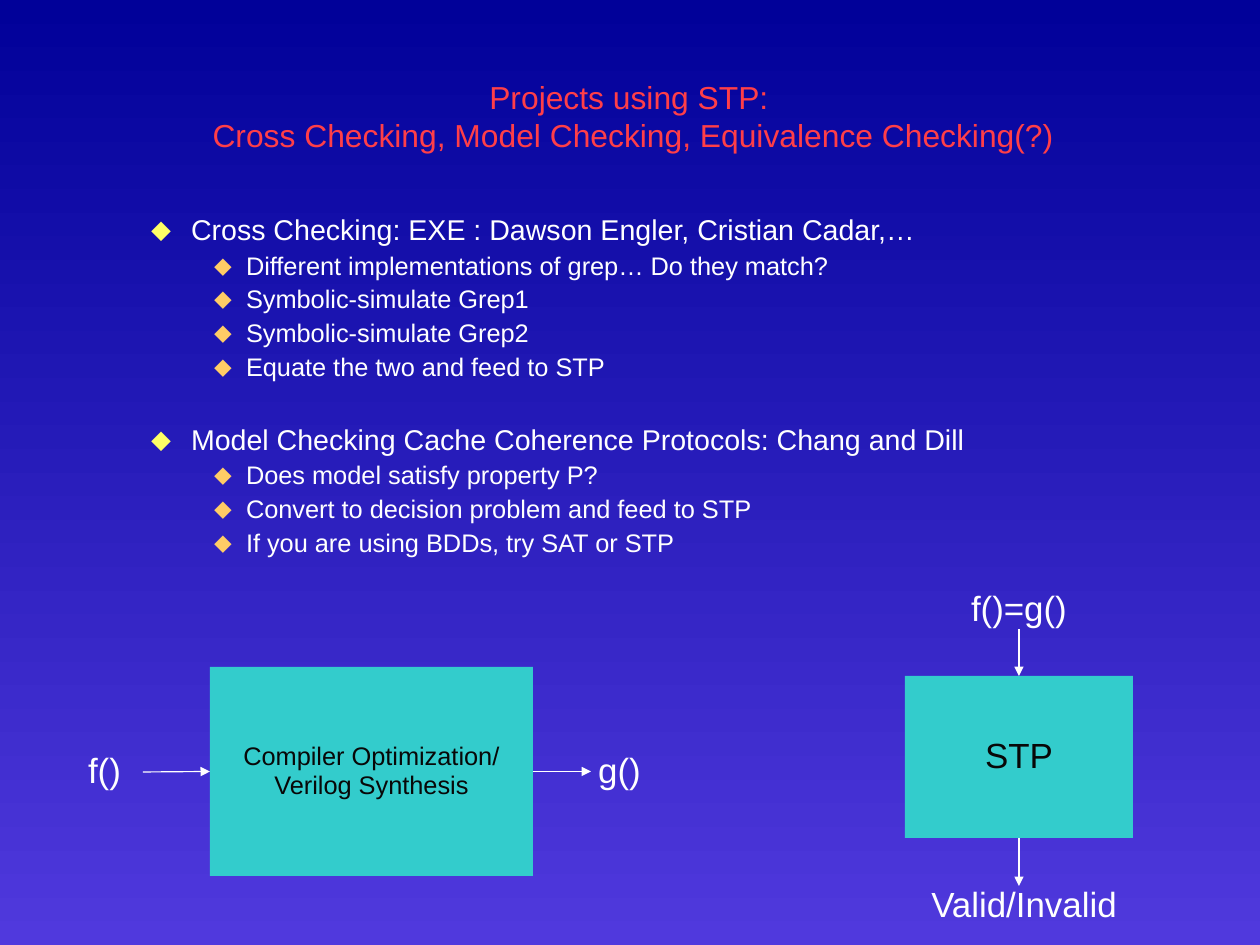
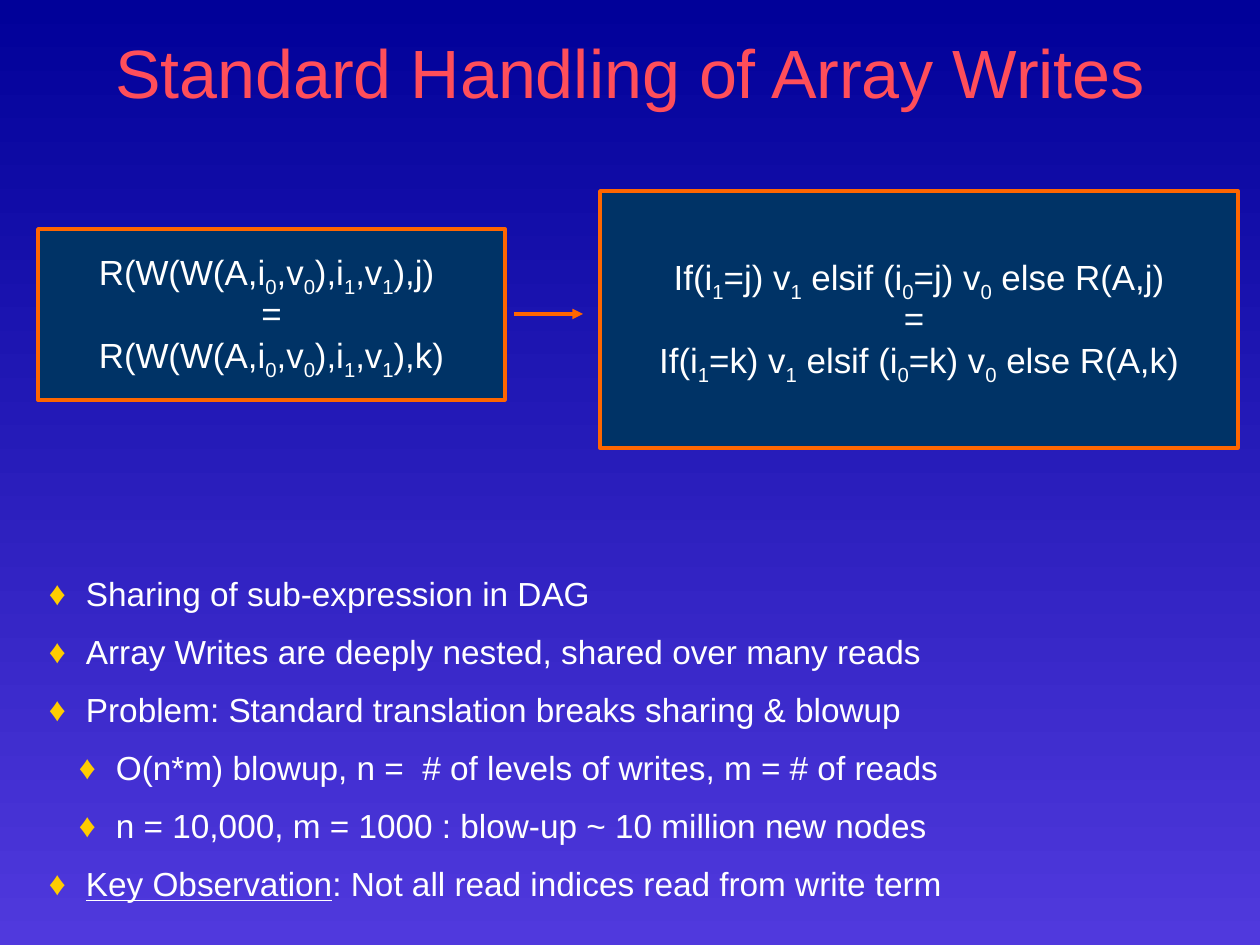
from lxml.etree import SubElement
from pptx import Presentation
from pptx.dml.color import RGBColor
from pptx.enum.shapes import MSO_CONNECTOR, MSO_SHAPE
from pptx.enum.text import MSO_ANCHOR, MSO_AUTO_SIZE, PP_ALIGN
from pptx.oxml.ns import qn
from pptx.util import Emu, Pt

# Shared look
PX = 8000
SIZE = (1260, 945)
FONT = "Arial"
SKY = ("010199", "5039DD")
WHITE, INK, TEAL = "FFFFFF", "080808", "33CCCC"
NAVY, ORANGE = "003366", "FF6600"
TIGHT = 0.93

# Slide 1: boxes are left, top, width, height
PROJECTS = {
    "title": "Projects using STP:\n Cross Checking, Model Checking, Equivalence Checking(?)",
    "place": (95, 48, 1068, 135), "size": 20, "color": "FF3E48",
}
TOPICS = [
    ("Cross Checking: EXE : Dawson Engler, Cristian Cadar,…", [
        "Different implementations of grep… Do they match?",
        "Symbolic-simulate Grep1",
        "Symbolic-simulate Grep2",
        "Equate the two and feed to STP"]),
    ("Model Checking Cache Coherence Protocols: Chang and Dill", [
        "Does model satisfy property P?",
        "Convert to decision problem and feed to STP",
        "If you are using BDDs, try SAT or STP"]),
]
TOPIC = dict(level=1, size=18, left=103, hang=40, before=4.5, line=0.9,
             mark="⬥", tint="FFFF66", shade=True)
POINT = dict(TOPIC, level=2, size=16, left=158, hang=32, before=4, tint="FFCC66")
GAP = 27.6
BLOCKS = {
    "build": ("Compiler Optimization/\nVerilog Synthesis", (210, 667, 323, 209), 16),
    "solve": ("STP", (905, 676, 228, 162), 22),
}
LABELS = {
    "f": ("f()", (76, 752, 57, 39)),
    "g": ("g()", (591, 752, 57, 39)),
    "ask": ("f()=g()", (924, 590, 190, 39)),
    "reply": ("Valid/Invalid", (905, 886, 238, 39)),
}
# An end is a point or a (name, side) pair
FLOWS = [
    ((143, 772), ("build", 1)),
    (("build", 3), ("g", 1)),
    (("ask", 2), ("solve", 0)),
    (("solve", 2), (1019, 886)),
]

# Slide 2: "_" puts the next digit below the line
WRITES = {
    "title": "Standard Handling of Array Writes",
    "place": (0, 19, 1260, 105), "size": 43, "color": "FF4E5A",
}
TERMS = [
    ((38, 229, 467, 171),
     ["R(W(W(A,i_0,v_0),i_1,v_1),j) ", "=", "R(W(W(A,i_0,v_0),i_1,v_1),k)"]),
    ((600, 191, 638, 257),
     ["If(i_1=j) v_1 elsif (i_0=j) v_0 else R(A,j)", "= ",
      "If(i_1=k) v_1 elsif (i_0=k) v_0 else R(A,k)"]),
]
NOTES = [
    (0, ["Sharing of sub-expression in DAG"]),
    (0, ["Array Writes are deeply nested, shared over many reads"]),
    (0, ["Problem: Standard translation breaks sharing & blowup"]),
    (1, ["O(n*m) blowup, n =  # of levels of writes, m = # of reads"]),
    (1, ["n = 10,000, m = 1000 : blow-up ~ 10 million new nodes"]),
    (0, ["Key Observation", ": Not all read indices read from write term"]),
]
NOTE = dict(size=21, hang=37, before=13.1, line=TIGHT, mark="♦", tint="FFCC00")


def rgb(code):
    return RGBColor.from_string(code)


def px(*nums):
    return [Emu(round(n * PX)) for n in nums]


def style(par, size, color=WHITE, shade=False):
    """Format all runs of a paragraph, with a text shadow on request."""
    for run in par.runs:
        font = run.font
        font.size, font.name = Pt(size), FONT
        font.color.rgb = rgb(color)
        if shade:
            props = run._r.get_or_add_rPr()
            fx = SubElement(props, qn("a:effectLst"))
            props.find(qn("a:solidFill")).addnext(fx)
            drop = SubElement(fx, qn("a:outerShdw"), dist="17961", dir="2700000")
            SubElement(drop, qn("a:srgbClr"), val="808080")


def frame(shape, inset=(0, 0), anchor=MSO_ANCHOR.MIDDLE, wrap=True):
    text = shape.text_frame
    text.word_wrap, text.auto_size = wrap, MSO_AUTO_SIZE.NONE
    text.vertical_anchor = anchor
    text.margin_left = text.margin_right = px(inset[0])[0]
    text.margin_top = text.margin_bottom = px(inset[1])[0]
    return text


def move(shape, place):
    shape.left, shape.top, shape.width, shape.height = px(*place)


def center(text, size, color, line=TIGHT, shade=False):
    for par in text.paragraphs:
        par.alignment, par.line_spacing = PP_ALIGN.CENTER, line
        style(par, size, color, shade)


def start(deck, head):
    """Add a slide and fill its title."""
    slide = deck.slides.add_slide(deck.slide_layouts[1])
    title = slide.shapes.title
    move(title, head["place"])
    text = frame(title)
    text.text = head["title"]
    center(text, head["size"], head["color"], 1, True)
    return slide


def bullet(par, parts, size, left, hang, before, line, mark, tint,
           level=0, shade=False):
    """Write one list item with its own mark and hanging indent."""
    for part in parts:
        par.add_run().text = part
    par.level, par.alignment = level, PP_ALIGN.LEFT
    par.line_spacing, par.space_before, par.space_after = line, Pt(before), Pt(0)
    style(par, size, shade=shade)
    props = par._p.get_or_add_pPr()
    props.set("marL", str(left * PX))
    props.set("indent", str(-hang * PX))
    SubElement(SubElement(props, qn("a:buClr")), qn("a:srgbClr"), val=tint)
    SubElement(props, qn("a:buFont"), typeface=FONT)
    SubElement(props, qn("a:buChar"), char=mark)


def fill(slide, place, items, inset):
    """Put (parts, options) items in the body placeholder."""
    body = slide.placeholders[1]
    move(body, place)
    text = frame(body, inset, MSO_ANCHOR.TOP)
    for num, (parts, opts) in enumerate(items):
        par = text.add_paragraph() if num else text.paragraphs[0]
        bullet(par, parts, **opts)
    return text


def block(slide, place, color, edge=None):
    shape = slide.shapes.add_shape(MSO_SHAPE.RECTANGLE, *px(*place))
    shape.shadow.inherit = False
    shape.fill.solid()
    shape.fill.fore_color.rgb = rgb(color)
    if edge:
        shape.line.color.rgb, shape.line.width = rgb(edge), Pt(2.25)
    else:
        shape.line.fill.background()
    return shape


def arrow(slide, tail, tip, color, width, parts=None):
    """Draw an arrow, joined to a shape where an end names one."""
    ends = [(0, 0) if isinstance(end[0], str) else end for end in (tail, tip)]
    line = slide.shapes.add_connector(
        MSO_CONNECTOR.STRAIGHT, *px(*ends[0], *ends[1]))
    for end, join in ((tail, line.begin_connect), (tip, line.end_connect)):
        if isinstance(end[0], str):
            join(parts[end[0]], end[1])
    line.line.color.rgb, line.line.width = rgb(color), Pt(width)
    props = line.element.spPr
    SubElement(props.find(qn("a:ln")), qn("a:tailEnd"), type="triangle")
    SubElement(props, qn("a:effectLst"))


def projects(deck):
    slide = start(deck, PROJECTS)
    items = []
    for name, points in TOPICS:
        before = GAP if items else TOPIC["before"]
        items.append(([name], dict(TOPIC, before=before)))
        items += [([point], POINT) for point in points]
    fill(slide, (76, 209, 1124, 714), items, (12, 7))

    # Flow diagrams
    parts = {}
    for key, (words, place, size) in BLOCKS.items():
        parts[key] = block(slide, place, TEAL)
        text = frame(parts[key], wrap=False)
        text.text = words
        center(text, size, INK)
    for key, (words, place) in LABELS.items():
        parts[key] = slide.shapes.add_textbox(*px(*place))
        text = frame(parts[key])
        text.text = words
        center(text, 22, WHITE)
    for tail, tip in FLOWS:
        arrow(slide, tail, tip, WHITE, 0.75, parts)


def writes(deck):
    slide = start(deck, WRITES)

    # Terms before and after translation
    for place, lines in TERMS:
        text = frame(block(slide, place, NAVY, ORANGE), wrap=False)
        for num, line in enumerate(lines):
            par = text.add_paragraph() if num else text.paragraphs[0]
            first, *rest = line.split("_")
            par.add_run().text = first
            for bit in rest:
                low = par.add_run()
                low.text = bit[0]
                low._r.get_or_add_rPr().set("baseline", "-25000")
                par.add_run().text = bit[1:]
        center(text, 22, WHITE)
    arrow(slide, (514, 314), (583, 314), ORANGE, 2.25)

    # Remarks
    items = [(parts, dict(NOTE, level=step, left=37 + 30 * step))
             for step, parts in NOTES]
    text = fill(slide, (38, 571, 1181, 339), items, (11, 6))
    text.paragraphs[-1].runs[0].font.underline = True


def main():
    deck = Presentation()
    deck.slide_width, deck.slide_height = px(*SIZE)
    sky = deck.slide_master.background.fill
    sky.gradient()
    sky.gradient_angle = 270
    for stop, color in zip(sky.gradient_stops, SKY):
        stop.color.rgb = rgb(color)
    projects(deck)
    writes(deck)
    deck.save("out.pptx")


if __name__ == "__main__":
    main()
